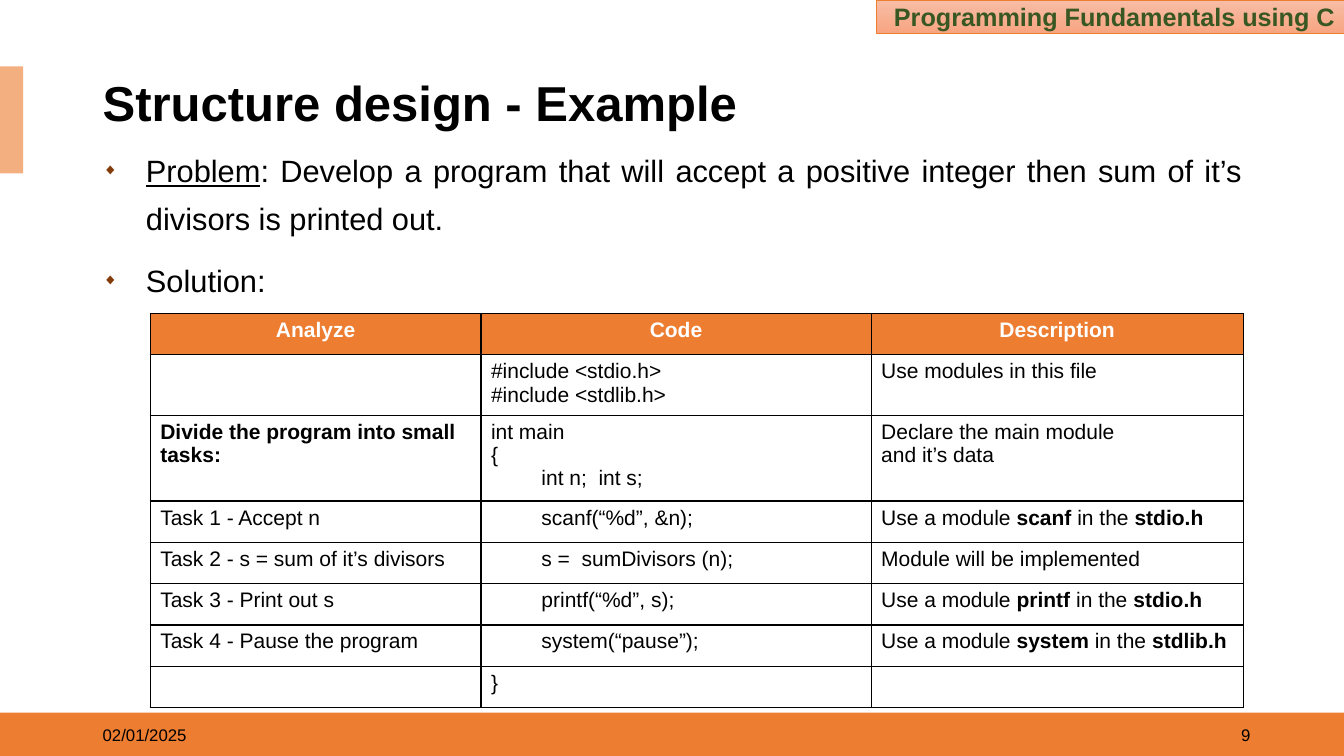
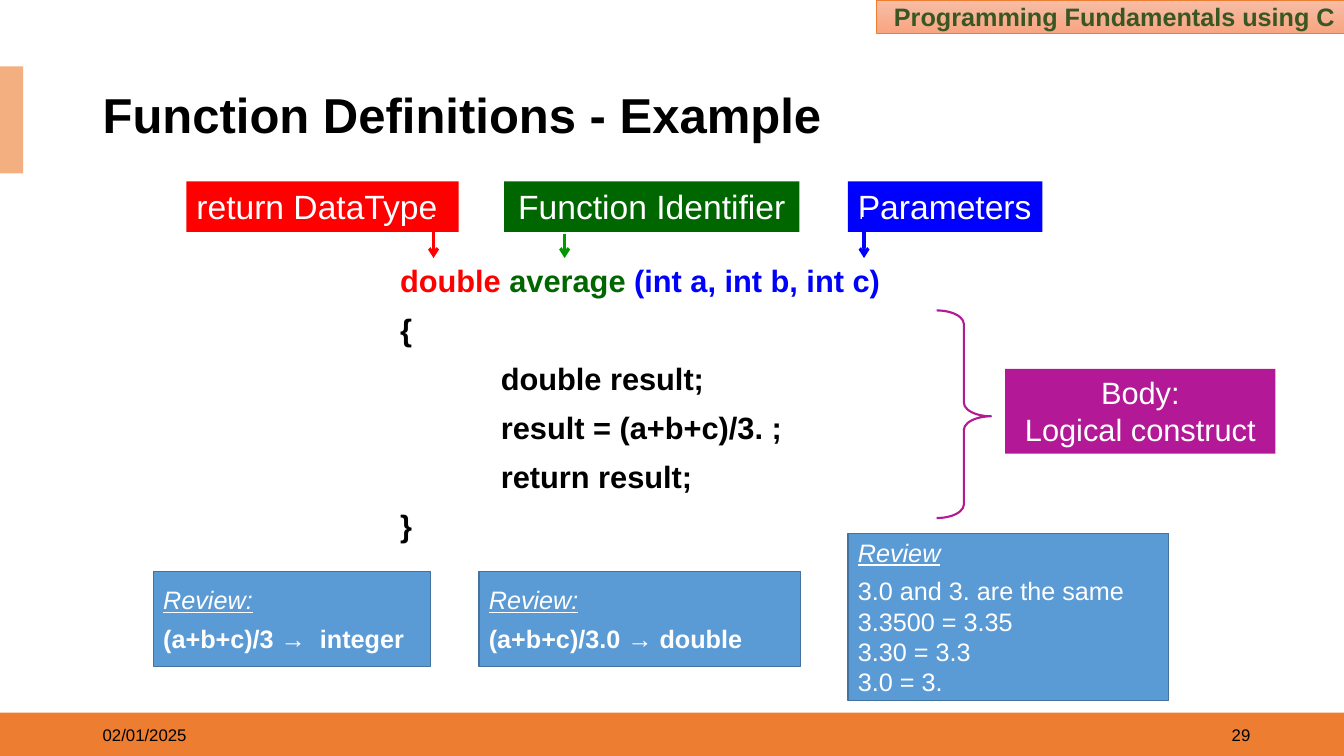
"""Build two lecture slides on structured programming in C."""
from lxml import etree
from pptx import Presentation
from pptx.dml.color import RGBColor
from pptx.enum import shapes, text
from pptx.oxml import ns
from pptx.util import Inches, Pt

COLORS = {
    "black": "000000", "white": "FFFFFF", "orange": "ED7D31", "peach": "F4AF80",
    "pale": "F7BDA5", "salmon": "F8A582", "moss": "385723", "brown": "843C0B",
    "red": "FF0000", "green": "006600", "lime": "009900", "blue": "0000FF",
    "plum": "B31996", "sky": "5B9BD5", "steel": "43739E",
}
ALIGN = {"l": text.PP_ALIGN.LEFT, "c": text.PP_ALIGN.CENTER,
         "r": text.PP_ALIGN.RIGHT, "j": text.PP_ALIGN.JUSTIFY}
RECT = shapes.MSO_SHAPE.RECTANGLE
LEFT, WIDE, FULL = 0.92, 11.5, 13.33


def rgb(name):
    """Look up a colour by name."""
    return RGBColor.from_string(COLORS[name])


def sub(node, tag, **attrs):
    """Append a DrawingML element to a node."""
    return etree.SubElement(node, ns.qn("a:" + tag), **attrs)


def style(font, size=None, color=None, **flags):
    """Set size, colour and flags such as bold on a font."""
    if size:
        font.size = Pt(size)
    if color:
        font.color.rgb = rgb(color)
    for key, value in flags.items():
        setattr(font, key, value)


def line(*runs, **opts):
    """Describe a paragraph by its runs and its format."""
    return runs, opts


def bullet(para):
    """Give a paragraph a small brown diamond."""
    props = para._p.get_or_add_pPr()
    sub(sub(props, "buClr"), "srgbClr", val=COLORS["brown"])
    sub(props, "buSzPct", val="50000")
    sub(props, "buFont", typeface="Arial")
    sub(props, "buChar", char="◆")


def indent(para, left, first=0):
    """Set the left margin and first-line indent of a paragraph."""
    props = para._p.get_or_add_pPr()
    props.set("marL", str(Inches(left)))
    props.set("indent", str(Inches(first)))


def put(frame, lines, middle=False, **base):
    """Fill a text frame with lines that share a base format."""
    frame.word_wrap = True
    frame.vertical_anchor = text.MSO_ANCHOR.MIDDLE if middle else text.MSO_ANCHOR.TOP
    for i, (runs, extra) in enumerate(lines):
        opts = {"name": "Arial", "color": "black", **base, **extra}
        para = frame.paragraphs[0] if i == 0 else frame.add_paragraph()
        if opts.pop("dot", False):
            bullet(para)
            indent(para, 0.43, -0.43)
        if "left" in opts:
            indent(para, opts.pop("left"))
        para.alignment = ALIGN[opts.pop("align", "l")]
        para.line_spacing = opts.pop("pitch", None)
        before, after = opts.pop("before", 0), opts.pop("after", 0)
        para.space_before = Pt(before if i else 0)
        para.space_after = Pt(after)
        mixed = {key for run in runs if isinstance(run, tuple) for key in run[1]}
        style(para.font, **{k: v for k, v in opts.items() if k not in mixed})
        for item in runs:
            words, own = item if isinstance(item, tuple) else (item, {})
            run = para.add_run()
            run.text = words
            style(run.font, **{k: own.get(k, opts.get(k)) for k in mixed})


def label(slide, box, lines, **base):
    """Add a text box at a box given in inches."""
    area = slide.shapes.add_textbox(*map(Inches, box))
    put(area.text_frame, lines, **base)


def block(slide, box, fill=None, edge=None, width=1, kind=RECT):
    """Add a flat preset shape."""
    shape = slide.shapes.add_shape(kind, *map(Inches, box))
    shape.shadow.inherit = False
    if fill:
        shape.fill.solid()
        shape.fill.fore_color.rgb = rgb(fill)
    else:
        shape.fill.background()
    if edge:
        shape.line.color.rgb = rgb(edge)
        shape.line.width = Pt(width)
    else:
        shape.line.fill.background()
    return shape


def base(deck, title, top, number):
    """Start a slide with the shared bands, title and footer."""
    slide = deck.slides.add_slide(deck.slide_layouts[6])
    block(slide, (0, 7.07, FULL, 0.44), "orange")
    block(slide, (0, 0.66, 0.23, 1.06), "peach")
    head = block(slide, (8.69, 0, 4.65, 0.33), "pale", "orange", 0.5)
    head.fill.gradient()
    head.fill.gradient_angle = 270
    for stop, name in zip(head.fill.gradient_stops, ("pale", "salmon")):
        stop.color.rgb = rgb(name)
    put(head.text_frame, [line("Programming Fundamentals using C")], True,
        size=18, color="moss", bold=True, align="r")
    label(slide, (LEFT, top, WIDE, 0.63), [line(title)], middle=True,
          size=35, bold=True, pitch=0.9)
    for left, words, side in ((9.5, number, "r"), (LEFT, "02/01/2025", "l")):
        label(slide, (left, 7.09, 3, 0.4), [line(words)], middle=True,
              size=12, align=side)
    return slide


def border(cell):
    """Draw thin black lines around a cell."""
    props = cell._tc.get_or_add_tcPr()
    for side in ("lnL", "lnR", "lnT", "lnB"):
        edge = sub(props, side, w=str(Pt(1)))
        sub(sub(edge, "solidFill"), "srgbClr", val=COLORS["black"])


def grid(slide, left, top, widths, tall, rows):
    """Add a bordered table with an orange header row."""
    box = (left, top, sum(widths), tall * len(rows))
    table = slide.shapes.add_table(len(rows), len(widths), *map(Inches, box)).table
    for col, width in zip(table.columns, widths):
        col.width = Inches(width)
    for r, row in enumerate(rows):
        look = {} if r else {"color": "white", "bold": True, "align": "c"}
        for c, lines in enumerate(row):
            cell = table.cell(r, c)
            border(cell)
            cell.fill.solid()
            cell.fill.fore_color.rgb = rgb("white" if r else "orange")
            put(cell.text_frame, lines, size=15, **look)


def usage(func, header):
    """Describe which module a task uses."""
    bold = {"bold": True}
    return [line("Use a module ", (func, bold), " in the ", (header, bold))]


def design(deck):
    """Build the slide that splits a problem into tasks."""
    slide = base(deck, "Structure design - Example", 0.73, "9")
    label(slide, (LEFT, 1.35, WIDE, 5.47), [
        line(("Problem", {"underline": True}),
             ": Develop a program that will accept a positive integer then "
             "sum of it’s divisors is printed out."),
        line("Solution:"),
    ], size=22, align="j", pitch=1.3, before=10, dot=True)
    tasks = [
        ("Task 1 - Accept n", "scanf(“%d”, &n);", usage("scanf", "stdio.h")),
        ("Task 2 - s = sum of it’s divisors", "s =  sumDivisors (n);",
         [line("Module will be implemented")]),
        ("Task 3 - Print out s", "printf(“%d”, s);", usage("printf", "stdio.h")),
        ("Task 4 - Pause the program", "system(“pause”);",
         usage("system", "stdlib.h")),
    ]
    rows = [
        [[line(name)] for name in ("Analyze", "Code", "Description")],
        [[], [line("#include <stdio.h>"), line("#include <stdlib.h>")],
         [line("Use modules in this file")]],
        [[line("Divide the program into small tasks:", bold=True)],
         [line("int main"), line("{"), line("int n;  int s;", left=0.5)],
         [line("Declare the main module"), line("and it’s data")]],
        *[[[line(task)], [line(code, left=0.5)], note] for task, code, note in tasks],
        [[], [line("}")], []],
    ]
    grid(slide, 1.49, 3.11, (3.28, 3.87, 3.69), 0.41, rows)


def tag(slide, box, fill, lines, size=24, align="l"):
    """Add a coloured tag with white text."""
    shape = block(slide, box, fill)
    put(shape.text_frame, lines, size=size, color="white", align=align)


def arrow(slide, x, top, end, color):
    """Draw a downward arrow."""
    link = slide.shapes.add_connector(
        shapes.MSO_CONNECTOR.STRAIGHT, *map(Inches, (x, top, x, end)))
    link.line.color.rgb = rgb(color)
    link.line.width = Pt(2.25)
    sub(link.line._get_or_add_ln(), "tailEnd", type="arrow")
    sub(link._element.spPr, "effectLst")


def review(slide, box, head, lines):
    """Add a blue review card with an underlined heading."""
    card = block(slide, box, "sky", "steel")
    first = line(head, italic=True, underline=True, after=6)
    put(card.text_frame, [first, *lines], True, size=18, color="white")


def parts(deck):
    """Build the slide that labels the parts of a function."""
    slide = base(deck, "Function Definitions - Example", 0.85, "29")
    body = ("double result;", "result = (a+b+c)/3. ;", "return result;")
    label(slide, (3.87, 2.51, 5.13, 3.39), [
        line(("double ", {"color": "red"}), ("average ", {"color": "green"}),
             ("(int a, int b, int c)", {"color": "blue"})),
        line("{"), *[line(code, left=1) for code in body], line("}"),
    ], size=22, bold=True, align="j", pitch=1.1, before=6)
    tags = (
        (1.85, 2.7, "red", "return DataType", "l"),
        (5, 2.93, "green", "Function Identifier", "c"),
        (8.41, 1.93, "blue", "Parameters", "l"),
    )
    for left, width, fill, words, side in tags:
        tag(slide, (left, 1.8, width, 0.5), fill, [line(words)], align=side)
    for x, top, color in ((4.3, 2.15, "red"), (5.6, 2.32, "lime"), (8.57, 2.15, "blue")):
        arrow(slide, x, top, 2.56, color)
    tag(slide, (9.97, 3.66, 2.68, 0.84), "plum",
        [line("Body:"), line("Logical construct")], 22, "c")
    brace = block(slide, (9.29, 3.08, 0.54, 2.06), edge="plum", width=1.5,
                  kind=shapes.MSO_SHAPE.RIGHT_BRACE)
    brace.adjustments[0], brace.adjustments[1] = 0.25, 0.51
    for left, width, words in ((1.52, 2.75, "(a+b+c)/3 →  integer"),
                               (4.75, 3.19, "(a+b+c)/3.0 → double")):
        review(slide, (left, 5.67, width, 0.94), "Review:",
               [line(words, bold=True, after=6)])
    facts = ("3.0 and 3. are the same", "3.3500 = 3.35", "3.30 = 3.3", "3.0 = 3.")
    review(slide, (8.41, 5.29, 3.18, 1.66), "Review", [line(fact) for fact in facts])


def main():
    """Build and save the deck."""
    deck = Presentation()
    deck.slide_width, deck.slide_height = Inches(FULL), Inches(7.5)
    design(deck)
    parts(deck)
    deck.save("out.pptx")


if __name__ == "__main__":
    main()
